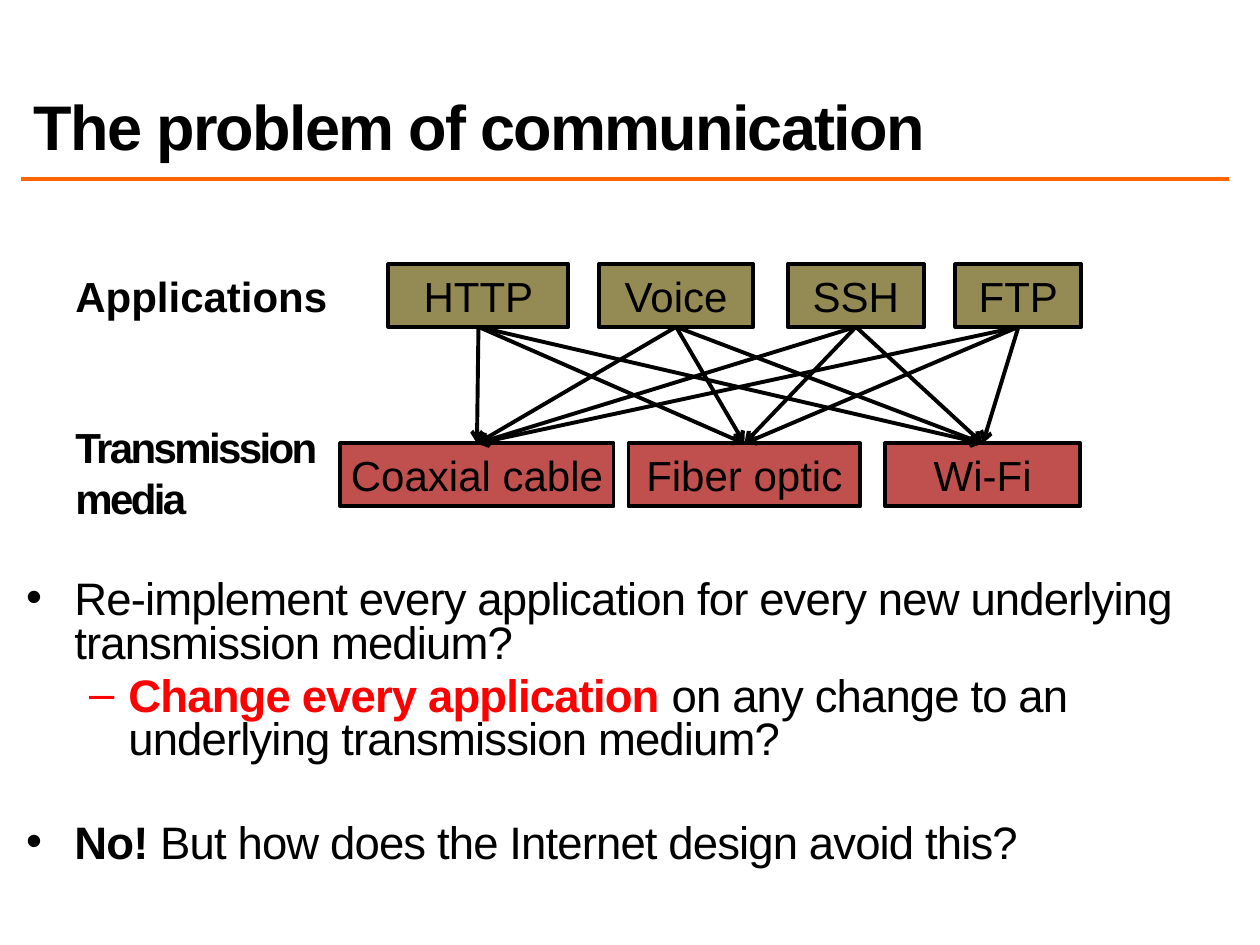
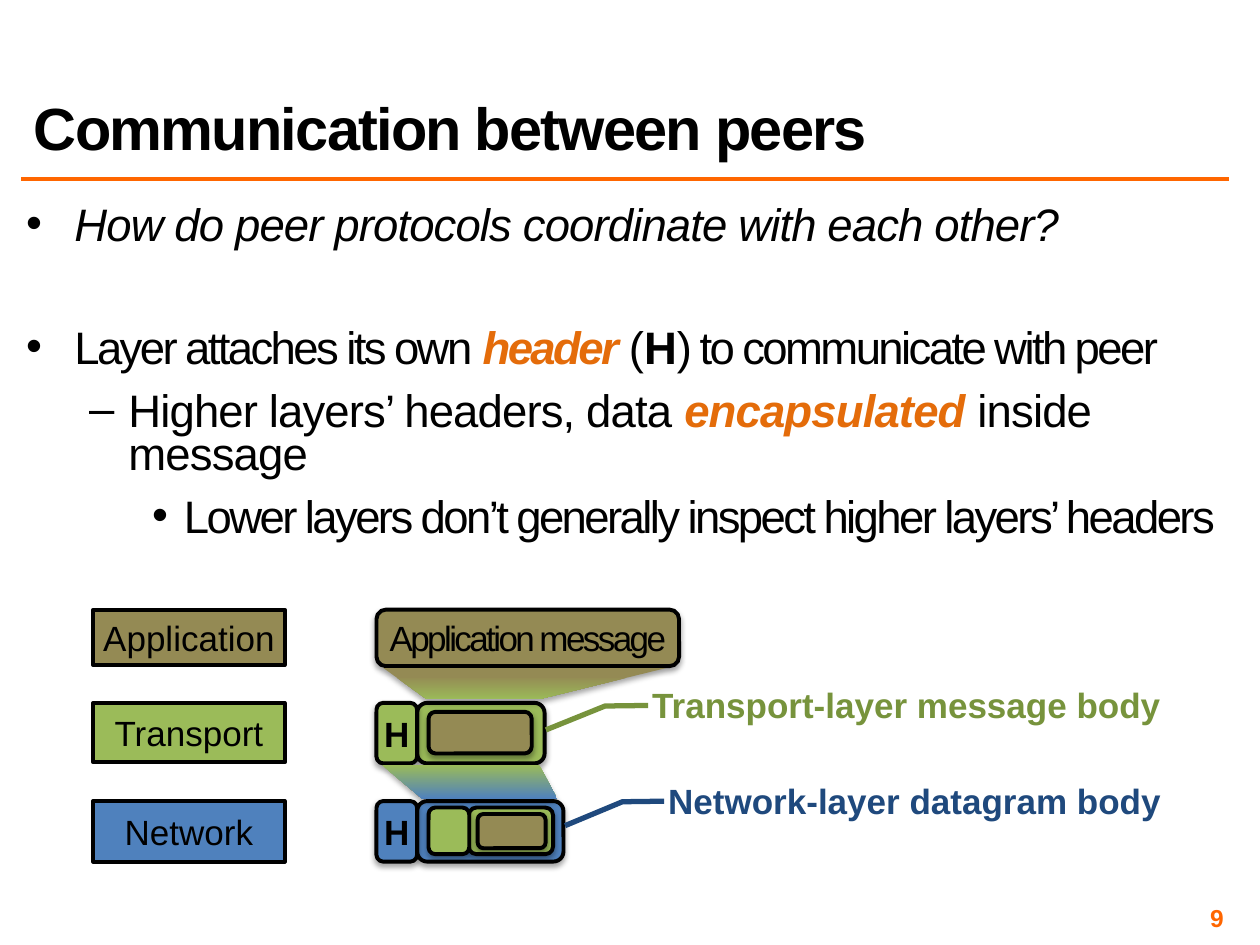
"""Build two lecture slides on communication and layered protocols."""
from lxml import etree
from pptx import Presentation
from pptx.dml.color import RGBColor
from pptx.enum.shapes import MSO_CONNECTOR, MSO_SHAPE
from pptx.enum.text import MSO_ANCHOR, MSO_AUTO_SIZE, PP_ALIGN
from pptx.oxml import parse_xml
from pptx.oxml.ns import nsdecls, qn
from pptx.util import Cm, Pt

RECT = MSO_SHAPE.RECTANGLE
ROUND = MSO_SHAPE.ROUNDED_RECTANGLE
CALLOUT = MSO_SHAPE.LINE_CALLOUT_2_NO_BORDER
STRAIGHT = MSO_CONNECTOR.STRAIGHT
MIDDLE, BOTTOM = MSO_ANCHOR.MIDDLE, MSO_ANCHOR.BOTTOM
LEFT, CENTER, RIGHT = PP_ALIGN.LEFT, PP_ALIGN.CENTER, PP_ALIGN.RIGHT
NO_FIT = MSO_AUTO_SIZE.NONE

FONT = "Arial"
BLACK, RED, ORANGE, ACCENT = "000000", "FF0000", "FF6600", "E46C0A"
OLIVE, BRICK, GREEN, BLUE = "948A54", "C0504D", "9BBB59", "4F81BD"
DARK_GREEN, NAVY = "77933C", "1F497D"
SHADOW = (
    f'<a:outerShdw {nsdecls("a")} blurRad="40000" dist="23000" dir="5400000" rotWithShape="0">'
    '<a:srgbClr val="000000"><a:alpha val="35000"/></a:srgbClr></a:outerShdw>'
)
BULLETS = [("•", 0.97, 0.97), ("–", 2.06, 0.79), ("•", 3.18, 0.64)]

color = RGBColor.from_string


def add_spans(paragraph, spans, size, spacing=0.0):
    """Append (text, colour, style) spans, where style may hold b and i."""
    for text, ink, style in spans:
        span = paragraph.add_run()
        span.text = text
        span.font.name = FONT
        span.font.size = Pt(size)
        span.font.bold = "b" in style
        span.font.italic = "i" in style
        span.font.color.rgb = color(ink)
        if spacing:
            span._r.get_or_add_rPr().set("spc", str(int(spacing * 100)))


def add_box(page, kind, place, fill, text="", size=20, ink=BLACK, style="", spacing=0.0):
    """Add an outlined shape with centred text; rounded shapes cast a shadow."""
    box = page.shapes.add_shape(kind, *map(Cm, place))
    box.shadow.inherit = False
    if fill:
        box.fill.solid()
        box.fill.fore_color.rgb = color(fill)
    else:
        box.fill.background()
    box.line.color.rgb = color(ink)
    box.line.width = Pt(2.25)
    if kind == ROUND:
        box.element.spPr.find(qn("a:effectLst")).append(parse_xml(SHADOW))
    frame = box.text_frame
    frame.margin_left = frame.margin_right = frame.margin_top = frame.margin_bottom = 0
    frame.word_wrap = False
    frame.vertical_anchor = MIDDLE
    frame.paragraphs[0].alignment = CENTER
    if text:
        add_spans(frame.paragraphs[0], [(text, ink, style)], size, spacing)
    return box


deck = Presentation()
deck.slide_width, deck.slide_height = Cm(25.4), Cm(19.05)
layout = deck.slide_layouts[5]

# Each bullet is (level, space before, letter spacing, spans).
contents = [
    ("The problem of communication", 36, (0.43, 11.61, 24.33, 6.22), [
        (0, 0, -0.5, [("Re-implement every application for every new underlying "
                       "transmission medium?", BLACK, "")]),
        (1, 5.2, -0.5, [("Change every application ", RED, "b"),
                        ("on any change to an underlying transmission medium?", BLACK, "")]),
        (0, 34.5, -0.5, [("No!", BLACK, "b"),
                         (" But how does the Internet design avoid this?", BLACK, "")]),
    ]),
    ("Communication between peers", 34, (0.43, 4.06, 24.31, 7.49), [
        (0, 0, -0.5, [("How do peer protocols coordinate with each other?", BLACK, "i")]),
        (0, 45.5, -1.5, [("Layer attaches its own ", BLACK, ""), ("header ", ACCENT, "bi"),
                         ("(", BLACK, ""), ("H", BLACK, "b"),
                         (") to communicate with peer", BLACK, "")]),
        (1, 10.8, -0.5, [("Higher layers’ headers, data ", BLACK, ""),
                         ("encapsulated ", ACCENT, "bi"), ("inside message", BLACK, "")]),
        (2, 10.8, -1.5, [("Lower layers don’t generally inspect higher layers’ headers",
                          BLACK, "")]),
    ]),
]

for heading, heading_size, body_place, bullets in contents:
    page = deck.slides.add_slide(layout)
    title = page.shapes.title
    title.left, title.top, title.width, title.height = map(Cm, (0.43, 0.43, 24.33, 2.97))
    frame = title.text_frame
    frame.auto_size = NO_FIT
    frame.vertical_anchor = BOTTOM
    frame.paragraphs[0].alignment = LEFT
    frame.paragraphs[0].line_spacing = 0.8
    add_spans(frame.paragraphs[0], [(heading, BLACK, "b")], heading_size, -1)

    frame = page.shapes.add_textbox(*map(Cm, body_place)).text_frame
    frame.word_wrap = True
    frame.margin_left = frame.margin_right = frame.margin_top = frame.margin_bottom = Cm(0.1)
    for index, (level, space, spacing, spans) in enumerate(bullets):
        para = frame.add_paragraph() if index else frame.paragraphs[0]
        mark, margin, hanging = BULLETS[level]
        para.level = level
        para.line_spacing = 0.8
        para.space_before = Pt(space)
        properties = para._p.get_or_add_pPr()
        properties.set("marL", str(Cm(margin)))
        properties.set("indent", str(-Cm(hanging)))
        etree.SubElement(properties, qn("a:buFont")).set("typeface", FONT)
        etree.SubElement(properties, qn("a:buChar")).set("char", mark)
        add_spans(para, spans, 26, spacing)

problem, peers = deck.slides

divider = problem.shapes.add_connector(STRAIGHT, Cm(0.43), Cm(3.61), Cm(24.77), Cm(3.61))
divider.line.color.rgb = color(ORANGE)
divider.line.width = Pt(2)
etree.SubElement(divider.element.spPr, qn("a:effectLst"))
layout.shapes.element.append(divider.element)

for lines, top, width, height, spacing in [
    (["Applications"], 5.33, 5.64, 1.27, 0),
    (["Transmission", "media"], 8.38, 5.56, 2.31, -1.5),
]:
    frame = problem.shapes.add_textbox(Cm(1.27), Cm(top), Cm(width), Cm(height)).text_frame
    frame.word_wrap = False
    for index, line in enumerate(lines):
        para = frame.add_paragraph() if index else frame.paragraphs[0]
        add_spans(para, [(line, BLACK, "b")], 24, spacing)

applications = [
    add_box(problem, RECT, (left, 5.33, width, 1.26), OLIVE, name, 24)
    for name, left, width in [
        ("HTTP", 7.83, 3.63), ("Voice", 12.07, 3.12), ("SSH", 15.88, 2.75), ("FTP", 19.26, 2.54),
    ]
]
media = [
    add_box(problem, RECT, (left, 8.94, width, 1.27), BRICK, name, 24)
    for name, left, width in [
        ("Coaxial cable", 6.86, 5.51), ("Fiber optic", 12.67, 4.67), ("Wi-Fi", 17.84, 3.94),
    ]
]
for application in applications:
    for medium in media:
        arrow = problem.shapes.add_connector(STRAIGHT, 0, 0, 0, 0)
        arrow.begin_connect(application, 2)
        arrow.end_connect(medium, 0)
        arrow.line.color.rgb = color(BLACK)
        arrow.line.width = Pt(2.25)
        outline = arrow.element.spPr.find(qn("a:ln"))
        etree.SubElement(outline, qn("a:tailEnd")).set("type", "arrow")
        etree.SubElement(arrow.element.spPr, qn("a:effectLst"))

for layer, top, height, fill in [
    ("Application", 12.29, 1.12, OLIVE),
    ("Transport", 14.17, 1.2, GREEN),
    ("Network", 16.15, 1.22, BLUE),
]:
    add_box(peers, RECT, (1.88, top, 3.86, height), fill, layer)

add_box(peers, ROUND, (7.59, 12.29, 6.1, 1.14), OLIVE, "Application message", spacing=-1.5)
for top, body_width, fill in [(14.17, 2.57, GREEN), (16.15, 2.95, BLUE)]:
    add_box(peers, ROUND, (8.41, top, body_width, 1.22), fill)
    add_box(peers, ROUND, (7.59, top, 0.82, 1.22), fill, "H", style="b")
for place, fill in [
    ((8.64, 14.35, 2.08, 0.84), OLIVE),
    ((9.45, 16.28, 1.7, 0.94), GREEN),
    ((9.63, 16.41, 1.37, 0.69), OLIVE),
    ((8.64, 16.28, 0.82, 0.94), GREEN),
]:
    add_box(peers, ROUND, place, fill)

for text, left, top, width, ink in [
    ("Transport-layer message body", 12.85, 13.64, 10.85, DARK_GREEN),
    ("Network-layer datagram body", 13.18, 15.57, 10.52, NAVY),
]:
    callout = add_box(peers, CALLOUT, (left, top, width, 1.12), None, text, ink=ink, style="b")
    callout.line.width = Pt(3)
    for index, value in enumerate([0.52, 0.02, 0.53, -0.06, 0.96, -0.17]):
        callout.adjustments[index] = value

for corners, stops in [
    ([(7.72, 13.46), (8.61, 14.1), (10.85, 14.1), (13.46, 13.46)], [(0.28, OLIVE), (1, GREEN)]),
    ([(7.7, 15.42), (8.51, 16.1), (11.23, 16.1), (10.87, 15.42)], [(0, GREEN), (1, BLUE)]),
]:
    points = [(Cm(x), Cm(y)) for x, y in corners]
    builder = peers.shapes.build_freeform(*points[0])
    builder.add_line_segments(points[1:], close=True)
    funnel = builder.convert_to_shape()
    funnel.shadow.inherit = False
    funnel.element.spPr.find(qn("a:effectLst")).append(parse_xml(SHADOW))
    funnel.line.fill.background()
    funnel.fill.gradient()
    funnel.fill.gradient_angle = 270
    for stop, (position, ink) in zip(funnel.fill.gradient_stops, stops):
        stop.position = position
        stop.color.rgb = color(ink)

frame = peers.shapes.add_textbox(Cm(18.85), Cm(18.21), Cm(5.92), Cm(0.58)).text_frame
frame.word_wrap = True
frame.vertical_anchor = MIDDLE
frame.margin_left = frame.margin_right = frame.margin_top = frame.margin_bottom = Cm(0.1)
frame.paragraphs[0].alignment = RIGHT
add_spans(frame.paragraphs[0], [("9", ORANGE, "b")], 14)

deck.save("out.pptx")
